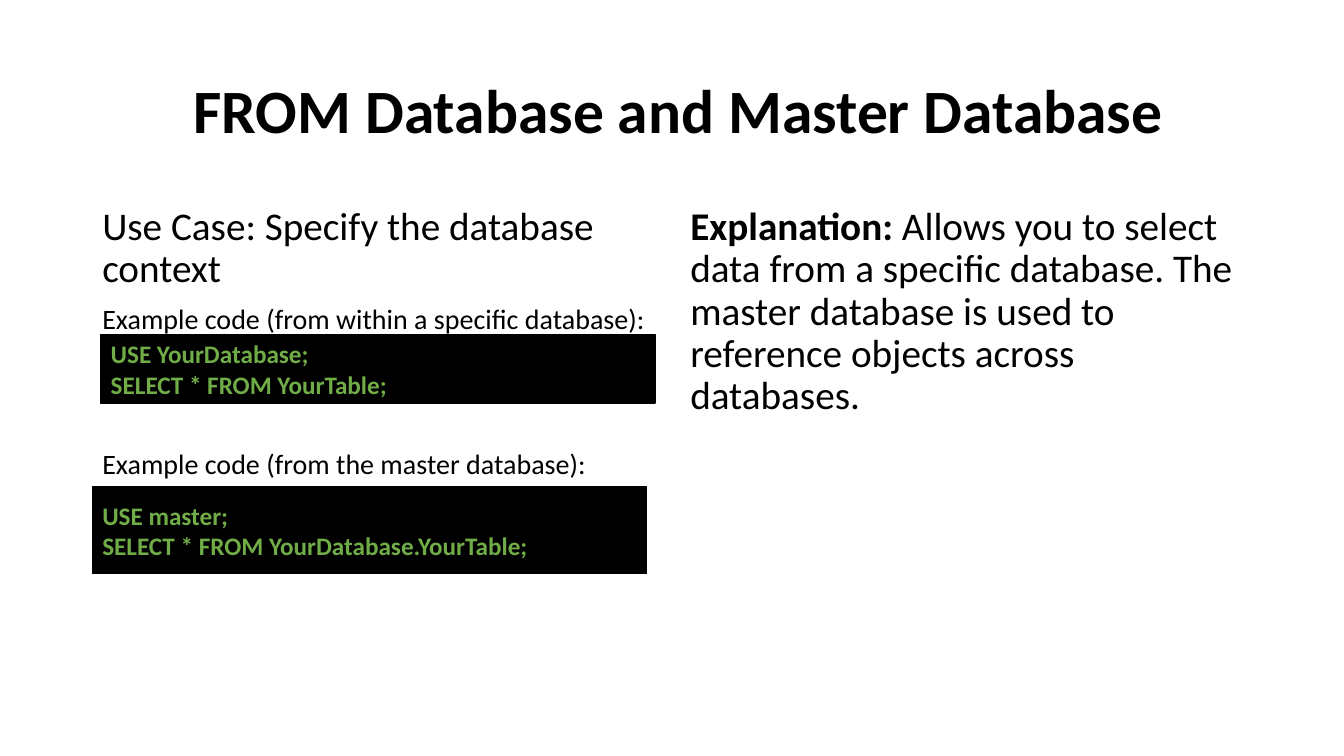
from dataclasses import dataclass

from pptx import Presentation
from pptx.dml.color import RGBColor
from pptx.enum.shapes import MSO_SHAPE
from pptx.enum.text import MSO_ANCHOR, MSO_AUTO_SIZE, PP_ALIGN
from pptx.util import Pt


@dataclass(frozen=True)
class Theme:
    font: str = "Calibri"
    ink: RGBColor = RGBColor(0x00, 0x00, 0x00)
    code_fill: RGBColor = RGBColor(0x00, 0x00, 0x00)
    code_ink: RGBColor = RGBColor(0x70, 0xAD, 0x47)
    title_size: int = 44
    body_size: int = 28
    caption_size: int = 20
    code_size: int = 18
    line_spacing: float = 0.9
    paragraph_gap: int = 10


THEME = Theme()

# Shared geometry in points
LEFT, RIGHT = 66, 486
COLUMN_TOP, COLUMN_WIDTH, COLUMN_HEIGHT = 144, 408, 342.72
CODE_WIDTH = 396
SECOND_CAPTION_GAP = 82


def add_run(paragraph, text, size, color=THEME.ink, bold=False):
    run = paragraph.add_run()
    run.text = text
    run.font.name = THEME.font
    run.font.size = Pt(size)
    run.font.bold = bold
    run.font.color.rgb = color


def next_paragraph(frame, index):
    return frame.add_paragraph() if index else frame.paragraphs[0]


def set_title(slide, text):
    title = slide.shapes.title
    title.left, title.top = Pt(LEFT), Pt(28.8)
    title.width, title.height = Pt(828), Pt(104.4)
    frame = title.text_frame
    frame.auto_size = MSO_AUTO_SIZE.NONE
    frame.vertical_anchor = MSO_ANCHOR.MIDDLE
    heading = frame.paragraphs[0]
    heading.alignment = PP_ALIGN.CENTER
    heading.line_spacing = THEME.line_spacing
    add_run(heading, text, THEME.title_size, bold=True)


def add_column(slide, left, paragraphs):
    """Each paragraph is (space before, size, [(text, bold), ...])."""
    column = slide.shapes.add_textbox(
        Pt(left), Pt(COLUMN_TOP), Pt(COLUMN_WIDTH), Pt(COLUMN_HEIGHT))
    frame = column.text_frame
    frame.word_wrap = True
    for index, (gap, size, runs) in enumerate(paragraphs):
        paragraph = next_paragraph(frame, index)
        paragraph.line_spacing = THEME.line_spacing
        paragraph.space_before = Pt(gap)
        for text, bold in runs:
            add_run(paragraph, text, size, bold=bold)


def add_code_block(slide, left, top, height, lines):
    block = slide.shapes.add_shape(
        MSO_SHAPE.RECTANGLE, Pt(left), Pt(top), Pt(CODE_WIDTH), Pt(height))
    block.shadow.inherit = False
    block.fill.solid()
    block.fill.fore_color.rgb = THEME.code_fill
    block.line.color.rgb = THEME.code_fill
    block.line.width = Pt(1)
    frame = block.text_frame
    frame.word_wrap = True
    frame.vertical_anchor = MSO_ANCHOR.MIDDLE
    for index, code in enumerate(lines):
        statement = next_paragraph(frame, index)
        statement.alignment = PP_ALIGN.LEFT
        add_run(statement, code, THEME.code_size, THEME.code_ink, bold=True)


def main():
    deck = Presentation()
    deck.slide_width, deck.slide_height = Pt(960), Pt(540)
    slide = deck.slides.add_slide(deck.slide_layouts[5])

    set_title(slide, " FROM Database and Master Database")

    # Use case and captions of the examples
    gap = THEME.paragraph_gap
    add_column(slide, LEFT, [
        (gap, THEME.body_size,
         [("Use Case: Specify the database context", False)]),
        (gap, THEME.caption_size,
         [("Example code (from within a specific database):", False)]),
        (SECOND_CAPTION_GAP, THEME.caption_size,
         [("Example code (from the master database):", False)]),
    ])

    # Explanation
    add_column(slide, RIGHT, [
        (gap, THEME.body_size, [
            ("Explanation: ", True),
            ("Allows you to select data from a specific database. The master "
             "database is used to reference objects across databases.", False),
        ]),
    ])

    # Code examples
    add_code_block(slide, 72, 239, 49,
                   ["USE YourDatabase;", "SELECT * FROM YourTable;"])
    add_code_block(slide, LEFT, 347.76, 62,
                   ["USE master;", "SELECT * FROM YourDatabase.YourTable;"])

    deck.save("out.pptx")


if __name__ == "__main__":
    main()
